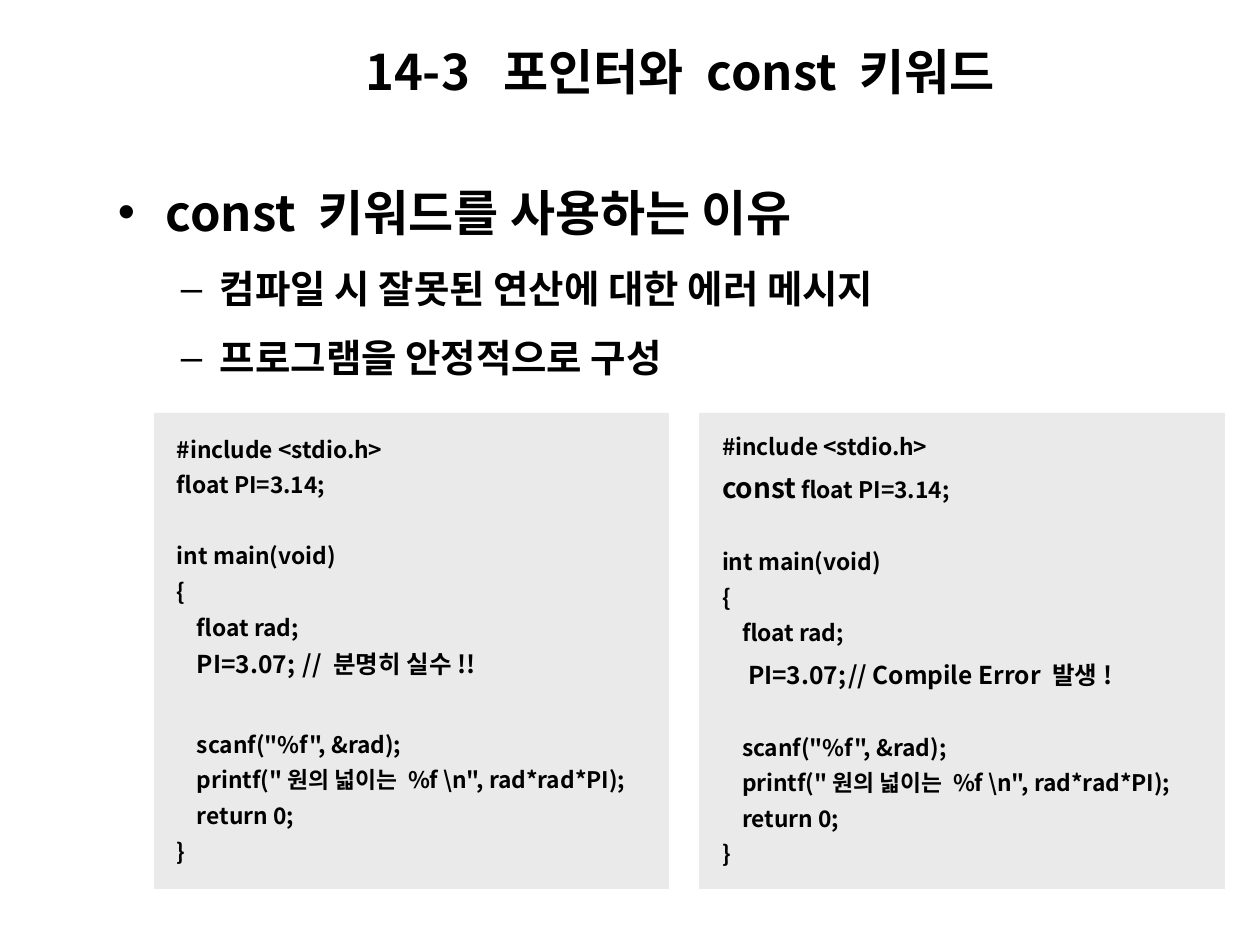
from dataclasses import dataclass

from lxml.etree import SubElement
from pptx import Presentation
from pptx.dml.color import RGBColor as Rgb
from pptx.enum.shapes import MSO_SHAPE as Shape
from pptx.enum.text import MSO_ANCHOR as Anchor, PP_ALIGN as Align
from pptx.oxml.ns import qn
from pptx.util import Emu, Pt


@dataclass(frozen=True)
class Theme:
    font: str = "Noto Sans CJK KR"
    ink: Rgb = Rgb(0, 0, 0)
    panel: Rgb = Rgb(0xEA, 0xEA, 0xEA)
    head: int = 28
    sub: int = 22
    code: int = 13
    note: int = 14
    key: int = 16
    lead: float = 1.3


THEME = Theme()
TAB = 168
STEP = 20
GAP = 20.3


def px(num):
    return Emu(round(num * 914400 / 126))


def set_box(shape, box):
    shape.left, shape.top, shape.width, shape.height = map(px, box)


def set_pad(frame, left, top, right, low):
    frame.margin_left, frame.margin_top = px(left), px(top)
    frame.margin_right, frame.margin_bottom = px(right), px(low)


def add_run(para, text, size):
    run = para.add_run()
    run.text = text
    font = run.font
    font.name, font.size, font.bold = THEME.font, Pt(size), True
    font.color.rgb = THEME.ink
    SubElement(font._element, qn("a:ea"), typeface=THEME.font)


def add_para(frame, first, gap=0):
    para = frame.paragraphs[0] if first else frame.add_paragraph()
    para.alignment = Align.LEFT
    para.line_spacing = THEME.lead
    para.space_before = Pt(gap)
    return para


def set_dent(para, left, hang):
    props = para._p.get_or_add_pPr()
    props.set("marL", str(px(left)))
    props.set("indent", str(px(hang)))
    return props


def add_title(slide, box):
    title = slide.shapes.title
    set_box(title, box)
    frame = title.text_frame
    frame.word_wrap = True
    frame.vertical_anchor = Anchor.MIDDLE
    set_pad(frame, 13, 6, 13, 6)
    para = frame.paragraphs[0]
    para.alignment = Align.CENTER
    add_run(para, "14-3  포인터와 const 키워드", THEME.head)


def add_points(slide, box, points):
    shape = slide.shapes.add_textbox(*map(px, box))
    frame = shape.text_frame
    frame.word_wrap = True
    set_pad(frame, 13, 6, 13, 6)
    kinds = (("•", 48, -48, 7, THEME.head), ("–", 102, -39, 5.5, THEME.sub))
    for row, (level, text) in enumerate(points):
        mark, left, hang, gap, size = kinds[level]
        para = add_para(frame, row == 0, gap)
        para.level = level
        props = set_dent(para, left, hang)
        SubElement(props, qn("a:buFont"), typeface="Arial")
        SubElement(props, qn("a:buChar"), char=mark)
        add_run(para, text, size)


def add_code(slide, box, lines):
    shape = slide.shapes.add_shape(Shape.RECTANGLE, *map(px, box))
    shape.shadow.inherit = False
    shape.fill.solid()
    shape.fill.fore_color.rgb = THEME.panel
    shape.line.fill.background()
    frame = shape.text_frame
    frame.word_wrap = True
    frame.vertical_anchor = Anchor.MIDDLE
    set_pad(frame, 23, 16, 13, 26)
    for row, (dent, gap, runs) in enumerate(lines):
        para = add_para(frame, row == 0, gap)
        props = set_dent(para, 0, dent)
        tabs = SubElement(props, qn("a:tabLst"))
        SubElement(tabs, qn("a:tab"), pos=str(px(TAB)), algn="l")
        for text, size in runs:
            add_run(para, text, size)


def line(text, dent=0, gap=0):
    return dent, gap, [(text, THEME.code)]


def listing(decl, assign, gap):
    return [
        line("#include <stdio.h>"),
        decl,
        line("int main(void)", gap=GAP),
        line("{"),
        line("float rad;", STEP),
        assign,
        line('scanf("%f", &rad);', STEP, gap),
        line('printf("원의 넓이는 %f \\n", rad*rad*PI);', STEP),
        line("return 0;", STEP),
        line("}"),
    ]


def main():
    deck = Presentation()
    deck.slide_width, deck.slide_height = px(1260), px(945)
    slide = deck.slides.add_slide(deck.slide_layouts[5])
    add_points(slide, (105, 159, 1071, 228), [
        (0, "const 키워드를 사용하는 이유"),
        (1, "컴파일 시 잘못된 연산에 대한 에러 메시지"),
        (1, "프로그램을 안정적으로 구성"),
    ])
    plain = listing(
        line("float PI=3.14;"),
        (STEP, 0, [("PI=3.07;\t// 분명히 실수!!", THEME.note)]),
        25,
    )
    fixed = listing(
        (0, 0, [("const", THEME.key), (" float PI=3.14;", THEME.code)]),
        (26, 3, [("PI=3.07;\t// Compile Error 발생!", THEME.note)]),
        GAP,
    )
    add_code(slide, (154, 413, 515, 476), plain)
    add_code(slide, (699, 413, 526, 476), fixed)
    add_title(slide, (333, 35, 694, 72))
    deck.save("out.pptx")


if __name__ == "__main__":
    main()
